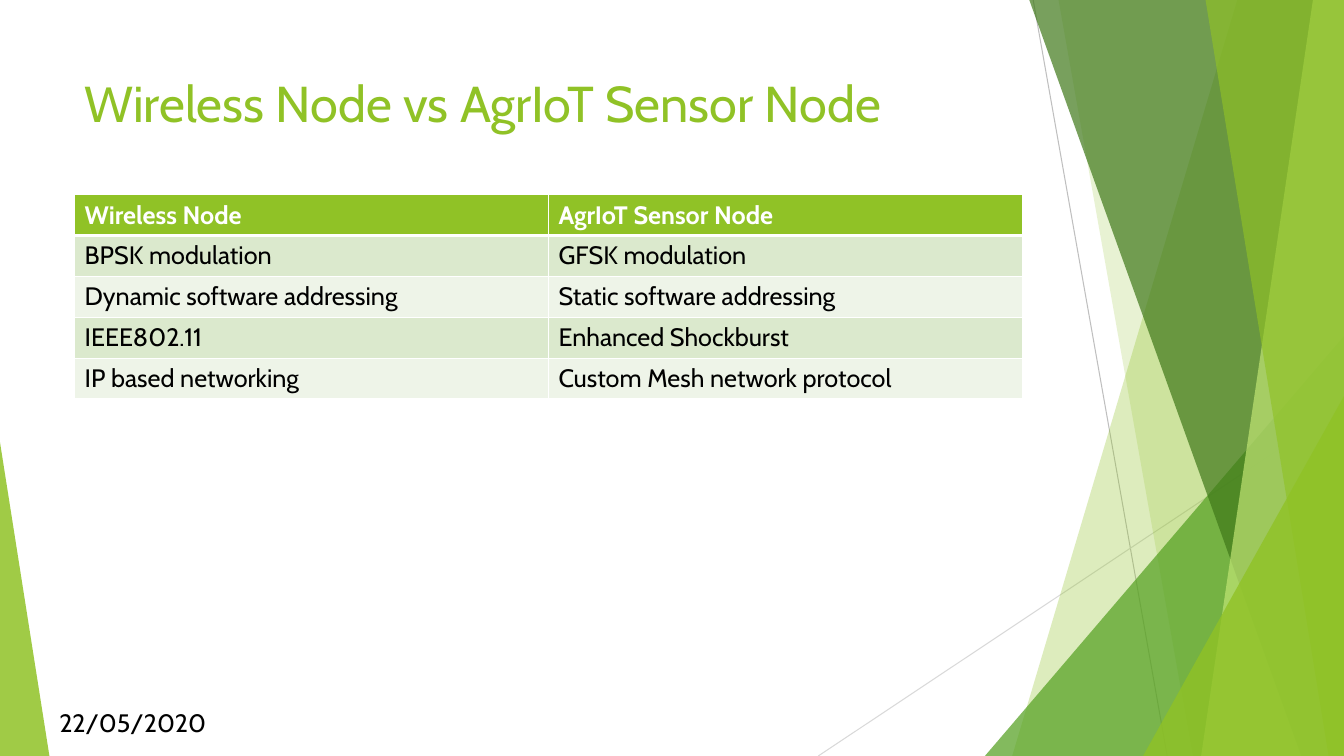
from lxml import etree
from pptx import Presentation
from pptx.dml.color import RGBColor
from pptx.enum.shapes import MSO_CONNECTOR, MSO_SHAPE
from pptx.enum.text import MSO_ANCHOR
from pptx.oxml.ns import qn
from pptx.util import Pt

STRAIGHT = MSO_CONNECTOR.STRAIGHT
TRIANGLE = MSO_SHAPE.ISOSCELES_TRIANGLE
TOP = MSO_ANCHOR.TOP

FONT = "Cabin"
WIDTH, HEIGHT = 960, 540
BAND_TOP = -0.72
COLORS = {
    "lime": "90C226",
    "leaf": "54A021",
    "forest": "3F7819",
    "pale": "C0E474",
    "steep_line": "BFBFBF",
    "shallow_line": "D9D9D9",
    "band_dark": "DBE9CD",
    "band_light": "EEF4E8",
    "white": "FFFFFF",
    "black": "000000",
}
COMPARISON = [
    ("Wireless Node", "AgrIoT Sensor Node"),
    ("BPSK modulation", "GFSK modulation"),
    ("Dynamic software addressing", "Static software addressing"),
    ("IEEE802.11", "Enhanced Shockburst"),
    ("IP based networking", "Custom Mesh network protocol"),
]


def rgb(color):
    return RGBColor.from_string(COLORS[color])


def add_ray(slide, start, end, color):
    ray = slide.shapes.add_connector(STRAIGHT, *map(Pt, start + end))
    ray.line.color.rgb = rgb(color)
    ray.line.width = Pt(0.75)
    etree.SubElement(ray._element.spPr, qn("a:effectLst"))


def paint(facet, color, opacity):
    facet.shadow.inherit = False
    facet.line.fill.background()
    facet.fill.solid()
    facet.fill.fore_color.rgb = rgb(color)
    shade = facet._element.spPr.find(qn("a:solidFill")).find(qn("a:srgbClr"))
    etree.SubElement(shade, qn("a:alpha")).set("val", str(opacity * 1000))


def add_band(slide, top_x, bottom_x, color, opacity):
    corners = [(WIDTH, BAND_TOP), (WIDTH, HEIGHT), (bottom_x, HEIGHT)]
    outline = slide.shapes.build_freeform(Pt(top_x), Pt(BAND_TOP), scale=1.0)
    outline.add_line_segments([(Pt(x), Pt(y)) for x, y in corners], close=True)
    paint(outline.convert_to_shape(), color, opacity)


def add_corner(slide, left, top, width, apex, color, opacity):
    corner = slide.shapes.add_shape(
        TRIANGLE, Pt(left), Pt(top), Pt(width), Pt(HEIGHT - top))
    corner.adjustments[0] = apex
    paint(corner, color, opacity)


def format_text(frame, size, color, bold=False):
    for run in frame.paragraphs[0].runs:
        run.font.name = FONT
        run.font.size = Pt(size)
        run.font.bold = bold
        run.font.color.rgb = rgb(color)


def add_label(slide, text, box, size, color):
    frame = slide.shapes.add_textbox(*map(Pt, box)).text_frame
    frame.word_wrap = True
    frame.vertical_anchor = TOP
    frame.text = text
    format_text(frame, size, color)


def set_borders(cell, widths):
    properties = cell._tc.get_or_add_tcPr()
    for position, (side, width) in enumerate(widths.items()):
        border = etree.Element(qn(f"a:ln{side}"), w=str(Pt(width)))
        fill = etree.SubElement(border, qn("a:solidFill"))
        etree.SubElement(fill, qn("a:srgbClr")).set("val", COLORS["white"])
        properties.insert(position, border)


def add_comparison(slide, left, top, column_width, row_height):
    row_count, column_count = len(COMPARISON), len(COMPARISON[0])
    table = slide.shapes.add_table(
        row_count, column_count, Pt(left), Pt(top),
        Pt(column_width * column_count), Pt(row_height * row_count)).table
    for column in table.columns:
        column.width = Pt(column_width)
    for row_index, entries in enumerate(COMPARISON):
        table.rows[row_index].height = Pt(row_height)
        header = row_index == 0
        band = "band_dark" if row_index % 2 else "band_light"
        for column_index, entry in enumerate(entries):
            cell = table.cell(row_index, column_index)
            cell.text = entry
            format_text(cell.text_frame, 18,
                        "white" if header else "black", header)
            cell.fill.solid()
            cell.fill.fore_color.rgb = rgb("lime" if header else band)
            set_borders(cell, {"L": 1, "R": 1, "T": 3 if row_index == 1 else 1,
                               "B": 3 if header else 1})


def add_backdrop(slide):
    add_ray(slide, (738, 0), (833.75, HEIGHT), "steep_line")
    add_ray(slide, (WIDTH, 290), (584.5, HEIGHT), "shallow_line")
    add_band(slide, 884, 723, "lime", 30)
    add_band(slide, 756, 852, "lime", 20)
    add_corner(slide, 703.5, 240, 256.5, 1, "leaf", 72)
    add_band(slide, 735, 929.5, "forest", 70)
    add_band(slide, 938, 858, "pale", 70)
    add_band(slide, 861, 949, "lime", 65)
    add_corner(slide, 816.5, 283, 143.5, 1, "lime", 80)
    add_corner(slide, 0, 316, 35.3, 0, "lime", 85)


def main():
    deck = Presentation()
    deck.slide_width, deck.slide_height = Pt(WIDTH), Pt(HEIGHT)
    slide = deck.slides.add_slide(deck.slide_layouts[6])
    add_backdrop(slide)
    add_label(slide, "Wireless Node vs AgrIoT Sensor Node",
              (53.3, 48, 677, 104), 36, "lime")
    add_comparison(slide, 53.3, 139, 338.5, 29.2)
    add_label(slide, "22/05/2020", (35.3, 502, 160, 29), 18, "black")
    deck.save("out.pptx")


if __name__ == "__main__":
    main()
